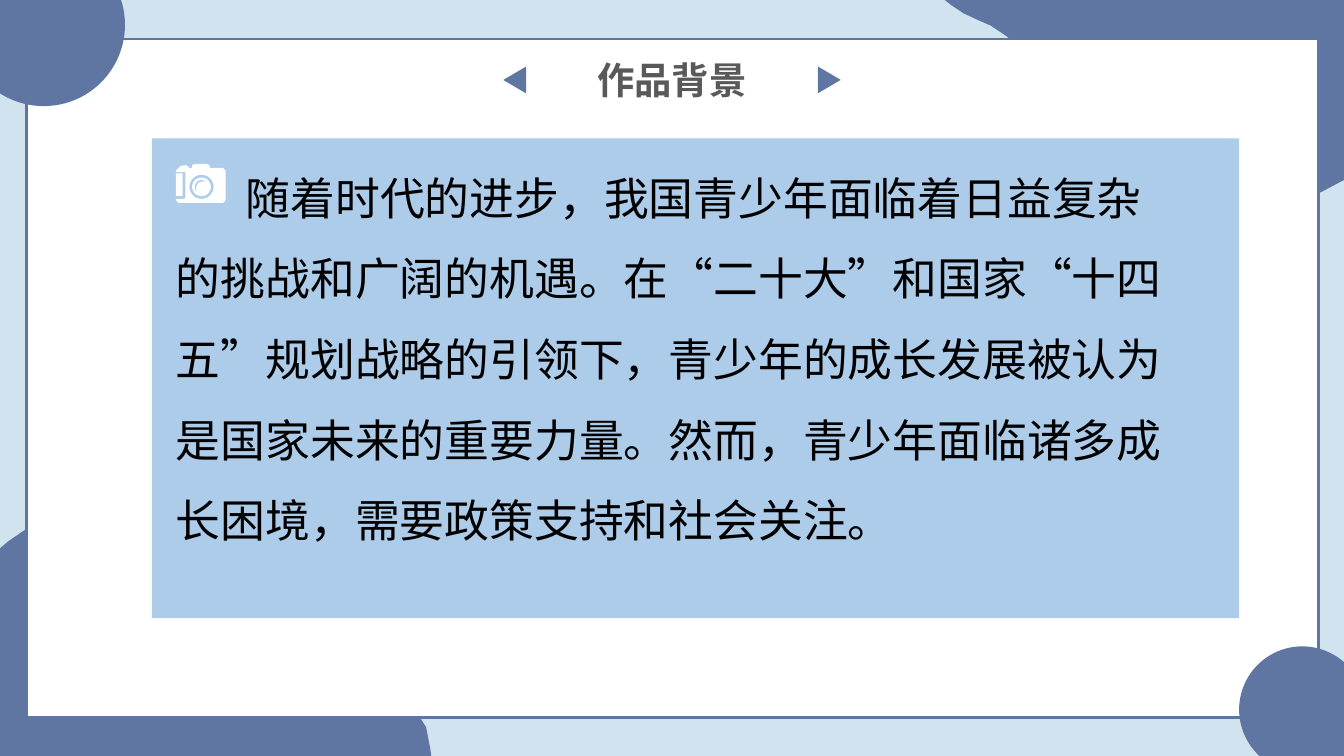
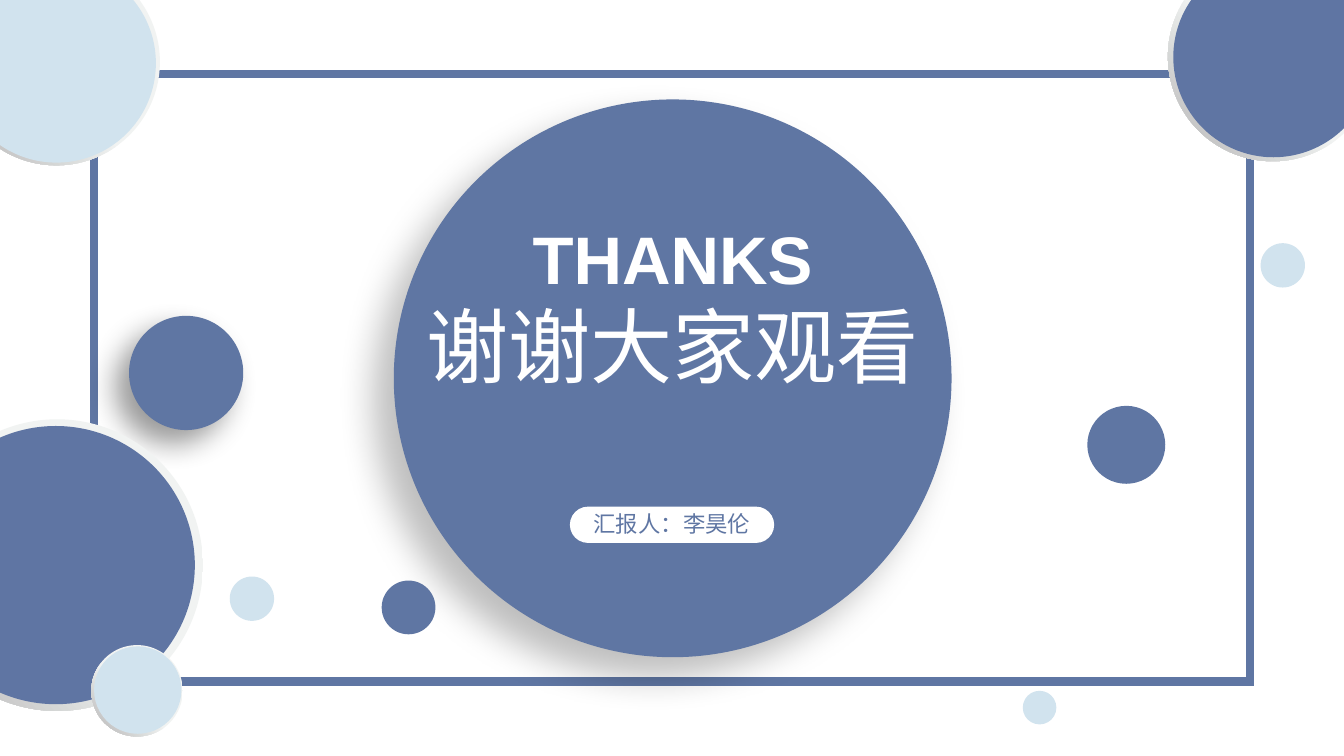
import math
from dataclasses import dataclass
from typing import Optional

import lxml.etree
import pptx
import pptx.dml.color
import pptx.enum.shapes
import pptx.enum.text
import pptx.oxml.ns
import pptx.presentation
import pptx.shapes.autoshape
import pptx.shapes.shapetree
import pptx.slide
import pptx.util

Inches = pptx.util.Inches
RGBColor = pptx.dml.color.RGBColor
Shape = pptx.shapes.autoshape.Shape
Tree = pptx.shapes.shapetree._BaseGroupShapes
Kind = pptx.enum.shapes.MSO_SHAPE
Align = pptx.enum.text.PP_ALIGN
qn = pptx.oxml.ns.qn

SLIDE_WIDTH = Inches(10)
SLIDE_HEIGHT = Inches(10 * 9 / 16)
NAVY = RGBColor(0x5F, 0x76, 0xA3)
RING_NAVY = RGBColor(0x5F, 0x75, 0xA3)
PALE = RGBColor(0xD1, 0xE3, 0xEE)
PANEL_BLUE = RGBColor(0x5B, 0x9B, 0xD5)
TITLE_GRAY = RGBColor(0x59, 0x59, 0x59)
RING_LIGHT = RGBColor(0xF1, 0xF3, 0xF2)
RING_DARK = RGBColor(0xB2, 0xB2, 0xB2)
WHITE = RGBColor(0xFF, 0xFF, 0xFF)
BLACK = RGBColor(0, 0, 0)
FONT = "Arial"
DIAGONAL = str(135 * 60000)

Point = tuple[float, float]
Box = tuple[float, float, float, float]


@dataclass(frozen=True)
class Shadow:
    opacity: int
    blur: float
    distance: float


@dataclass(frozen=True)
class Disc:
    left: float
    top: float
    size: float
    color: RGBColor
    shadow: Optional[Shadow] = None


@dataclass(frozen=True)
class RimmedDisc:
    left: float
    top: float
    size: float
    disc: Disc


@dataclass(frozen=True)
class Label:
    box: Box
    text: str
    size: int
    color: RGBColor
    bold: bool = False
    spacing: Optional[float] = None
    align: Optional[Align] = Align.CENTER
    wrap: bool = False
    indent: float = 0


TOP_RIGHT_BLOB: list[Point] = [
    (7.03, 0), (10, 0), (10, 1.34), (9.83, 1.43), (9.63, 1.5), (9.44, 1.52),
    (9.28, 1.48), (9.21, 1.44), (9.11, 1.37), (8.95, 1.22), (8.87, 1.13),
    (8.71, 1.02), (8.53, 0.98), (8.41, 0.99), (8.28, 1.06), (8.18, 1.19),
    (8.07, 1.36), (7.93, 1.57), (7.77, 1.69), (7.6, 1.73), (7.48, 1.71),
    (7.35, 1.61), (7.27, 1.48), (7.22, 1.28), (7.23, 1.13), (7.31, 1.01),
    (7.46, 0.86), (7.59, 0.69), (7.63, 0.54), (7.61, 0.46), (7.58, 0.35),
    (7.49, 0.27), (7.37, 0.19), (7.3, 0.16), (7.17, 0.1), (7.08, 0.04),
]
BOTTOM_LEFT_BLOB: list[Point] = [
    (0.53, 3.86), (0.59, 3.87), (0.74, 3.9), (0.88, 3.99), (0.94, 4.14),
    (0.96, 4.34), (0.97, 4.52), (1, 4.7), (1.07, 4.86), (1.18, 4.98),
    (1.27, 5.05), (1.43, 5.13), (1.55, 5.16), (1.68, 5.17), (1.88, 5.14),
    (2.03, 5.11), (2.26, 5.07), (2.47, 5.07), (2.68, 5.1), (2.83, 5.15),
    (2.98, 5.22), (3.1, 5.3), (3.17, 5.41), (3.2, 5.56), (3.21, 5.63),
    (0, 5.63), (0, 4.08), (0.06, 4.03), (0.16, 3.96), (0.24, 3.91),
    (0.36, 3.87), (0.47, 3.86),
]
CAMERA_BODY: list[Point] = [
    (1.45, 1.22), (1.54, 1.22), (1.56, 1.23), (1.56, 1.25), (1.66, 1.25),
    (1.68, 1.27), (1.68, 1.49), (1.66, 1.51), (1.33, 1.51), (1.31, 1.49),
    (1.31, 1.48), (1.37, 1.48), (1.38, 1.47), (1.38, 1.28), (1.31, 1.28),
    (1.31, 1.27), (1.33, 1.25), (1.34, 1.24), (1.36, 1.23), (1.39, 1.23),
    (1.41, 1.25), (1.43, 1.25), (1.43, 1.23),
]
CAMERA_GRIP: list[Point] = [(1.31, 1.29), (1.36, 1.29), (1.36, 1.46), (1.31, 1.46)]

BACK_DISCS = [Disc(7.61, 5.14, 0.25, PALE), Disc(9.38, 1.81, 0.33, PALE)]
MIDDLE_DISCS = [
    Disc(2.93, 0.74, 4.15, NAVY, Shadow(25, 20, 15)),
    Disc(0.96, 2.35, 0.85, NAVY, Shadow(40, 16, 10)),
    Disc(1.71, 4.29, 0.33, PALE),
    Disc(8.09, 3.02, 0.58, NAVY),
    Disc(2.84, 4.32, 0.4, NAVY),
]
CORNER_GROUPS = [
    [RimmedDisc(-0.35, -0.31, 1.54, Disc(-0.32, -0.27, 1.48, PALE))],
    [RimmedDisc(8.69, -0.36, 1.56, Disc(8.73, -0.32, 1.49, RING_NAVY))],
    [
        RimmedDisc(-0.66, 3.12, 2.17, Disc(-0.62, 3.17, 2.07, RING_NAVY)),
        RimmedDisc(0.68, 4.8, 0.68, Disc(0.7, 4.81, 0.65, PALE)),
    ],
]

TITLE = Label((4.34, 0.38, 1.32, 0.44), "作品背景", 20, TITLE_GRAY, bold=True)
BACKGROUND_TEXT = Label(
    (1.21, 1.02, 7.59, 3.06),
    "随着时代的进步，我国青少年面临着日益复杂的挑战和广阔的机遇。"
    "在“二十大”和国家“十四五”规划战略的引领下，"
    "青少年的成长发展被认为是国家未来的重要力量。"
    "然而，青少年面临诸多成长困境，需要政策支持和社会关注。",
    24, BLACK, spacing=1.5, align=None, wrap=True, indent=0.52,
)
CLOSING_LABELS = [
    Label((3.07, 2.15, 3.87, 0.84), "谢谢大家观看", 44, WHITE),
    Label((3.85, 1.27, 2.31, 0.9), "THANKS", 36, WHITE, bold=True, spacing=1.5),
]
PRESENTER = Label((4.31, 3.75, 1.38, 0.3), "汇报人：李昊伦", 12, NAVY)


def finish(shape: Shape, color: RGBColor) -> Shape:
    shape.shadow.inherit = False
    shape.fill.solid()
    shape.fill.fore_color.rgb = color
    shape.line.fill.background()
    return shape


def add_filled(shapes: Tree, kind: Kind, box: Box, color: RGBColor) -> Shape:
    return finish(shapes.add_shape(kind, *map(Inches, box)), color)


def add_frame(shapes: Tree, box: Box, width: float) -> None:
    frame = add_filled(shapes, Kind.RECTANGLE, box, WHITE)
    frame.line.color.rgb = NAVY
    frame.line.width = pptx.util.Pt(width)
    outline = frame.element.spPr.find(qn("a:ln"))
    lxml.etree.SubElement(outline, qn("a:miter"), lim="800000")


def add_outline(shapes: Tree, contours: list[list[Point]], color: RGBColor) -> None:
    scaled = [[(Inches(x), Inches(y)) for x, y in contour] for contour in contours]
    builder = shapes.build_freeform(*scaled[0][0])
    builder.add_line_segments(scaled[0][1:], close=True)
    for contour in scaled[1:]:
        builder.move_to(*contour[0])
        builder.add_line_segments(contour[1:], close=True)
    finish(builder.convert_to_shape(), color)


def add_color(parent: lxml.etree._Element, color: RGBColor, opacity: int = 100) -> None:
    element = lxml.etree.SubElement(parent, qn("a:srgbClr"), val=str(color))
    if opacity < 100:
        lxml.etree.SubElement(element, qn("a:alpha"), val=str(opacity * 1000))


def add_disc(shapes: Tree, disc: Disc) -> None:
    box = (disc.left, disc.top, disc.size, disc.size)
    shape = add_filled(shapes, Kind.OVAL, box, disc.color)
    if disc.shadow:
        effects = shape.element.spPr.find(qn("a:effectLst"))
        outer = lxml.etree.SubElement(
            effects, qn("a:outerShdw"),
            blurRad=str(pptx.util.Pt(disc.shadow.blur)),
            dist=str(pptx.util.Pt(disc.shadow.distance)),
            dir=DIAGONAL, rotWithShape="0",
        )
        add_color(outer, BLACK, disc.shadow.opacity)


def add_rimmed_disc(shapes: Tree, rimmed: RimmedDisc) -> None:
    box = (rimmed.left, rimmed.top, rimmed.size, rimmed.size)
    rim = add_filled(shapes, Kind.DONUT, box, RING_LIGHT)
    rim.adjustments[0] = 0.05
    properties = rim.element.spPr
    gradient = lxml.etree.Element(qn("a:gradFill"), rotWithShape="1")
    stops = lxml.etree.SubElement(gradient, qn("a:gsLst"))
    for position, color in ((0, RING_LIGHT), (55, RING_LIGHT), (100, RING_DARK)):
        stop = lxml.etree.SubElement(stops, qn("a:gs"), pos=str(position * 1000))
        add_color(stop, color)
    lxml.etree.SubElement(gradient, qn("a:lin"), ang=DIAGONAL, scaled="0")
    properties.replace(properties.find(qn("a:solidFill")), gradient)
    add_disc(shapes, rimmed.disc)


def add_label(shapes: Tree, label: Label) -> None:
    text_frame = shapes.add_textbox(*map(Inches, label.box)).text_frame
    text_frame.word_wrap = label.wrap
    text_frame.auto_size = pptx.enum.text.MSO_AUTO_SIZE.SHAPE_TO_FIT_TEXT
    text_frame.text = label.text
    paragraph = text_frame.paragraphs[0]
    paragraph.alignment = label.align
    paragraph.line_spacing = label.spacing
    if label.indent:
        paragraph._p.get_or_add_pPr().set("indent", str(Inches(label.indent)))
    font = paragraph.runs[0].font
    font.name = FONT
    font.size = pptx.util.Pt(label.size)
    font.bold = label.bold
    font.color.rgb = label.color


def arc(center: Point, radius: float, start: int = 0, end: int = 345) -> list[Point]:
    step = 15 if end > start else -15
    return [
        (center[0] + radius * math.cos(math.radians(angle)),
         center[1] + radius * math.sin(math.radians(angle)))
        for angle in range(start, end + step, step)
    ]


def add_camera(shapes: Tree) -> None:
    lens = (1.5, 1.39)
    glint = arc(lens, 0.05, 120, 300) + arc((1.51, 1.4), 0.05, 300, 120)
    contours = [CAMERA_BODY, CAMERA_GRIP, arc(lens, 0.09), arc(lens, 0.07), glint]
    add_outline(shapes, contours, WHITE)


def add_slide(presentation: pptx.presentation.Presentation, color: RGBColor) -> pptx.slide.Slide:
    slide = presentation.slides.add_slide(presentation.slide_layouts[6])
    slide.background.fill.solid()
    slide.background.fill.fore_color.rgb = color
    return slide


def build_background_slide(presentation: pptx.presentation.Presentation) -> None:
    shapes = add_slide(presentation, PALE).shapes
    for blob in (TOP_RIGHT_BLOB, BOTTOM_LEFT_BLOB):
        add_outline(shapes, [blob], NAVY)
    add_frame(shapes, (0.2, 0.29, 9.61, 5.05), 1.5)
    add_disc(shapes, Disc(-0.28, -0.42, 1.21, NAVY))
    add_disc(shapes, Disc(9.22, 4.81, 0.94, NAVY))

    heading = shapes.add_group_shape().shapes
    add_label(heading, TITLE)
    for left, rotation in ((3.73, 270), (6.07, 90)):
        box = (left, 0.51, 0.2, 0.17)
        add_filled(heading, Kind.ISOSCELES_TRIANGLE, box, NAVY).rotation = rotation

    content = shapes.add_group_shape().shapes
    panel = add_filled(content, Kind.RECTANGLE, (1.13, 1.03, 8.09, 3.57), PANEL_BLUE)
    panel_fill = panel.element.spPr.find(qn("a:solidFill"))
    panel_fill.remove(panel_fill[0])
    add_color(panel_fill, PANEL_BLUE, 50)
    add_camera(content)
    add_label(content, BACKGROUND_TEXT)


def build_closing_slide(presentation: pptx.presentation.Presentation) -> None:
    shapes = add_slide(presentation, WHITE).shapes
    for disc in BACK_DISCS:
        add_disc(shapes, disc)
    add_frame(shapes, (0.7, 0.55, 8.6, 4.52), 4.5)
    for disc in MIDDLE_DISCS:
        add_disc(shapes, disc)
    for label in CLOSING_LABELS:
        add_label(shapes, label)

    badge = shapes.add_group_shape().shapes
    pill = add_filled(badge, Kind.ROUNDED_RECTANGLE, (4.24, 3.77, 1.52, 0.27), WHITE)
    pill.adjustments[0] = 0.5
    add_label(badge, PRESENTER)

    for corner in CORNER_GROUPS:
        group = shapes.add_group_shape().shapes
        for rimmed in corner:
            add_rimmed_disc(group, rimmed)


def main() -> None:
    presentation = pptx.Presentation()
    presentation.slide_width = SLIDE_WIDTH
    presentation.slide_height = SLIDE_HEIGHT
    build_background_slide(presentation)
    build_closing_slide(presentation)
    presentation.save("out.pptx")


if __name__ == "__main__":
    main()
